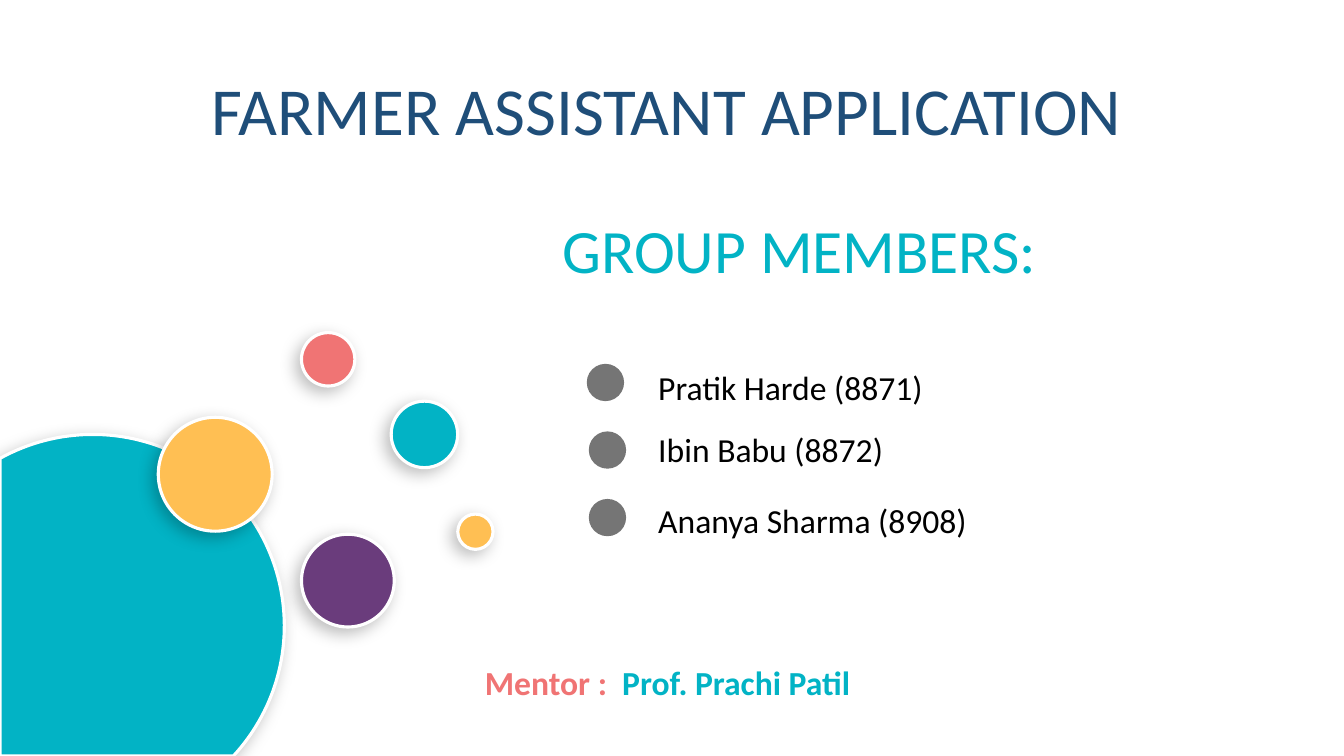
from math import acos, asin, cos, pi, sin
from typing import NamedTuple

from lxml.etree import SubElement as Sub
from pptx import Presentation
from pptx.dml.color import RGBColor as RGB
from pptx.enum.shapes import MSO_SHAPE as Kind
from pptx.enum.text import PP_ALIGN as Align
from pptx.oxml.ns import qn
from pptx.util import Inches, Pt

FONT = "Calibri"
WIDE, HIGH = 13.33, 7.5
COLORS = {
    "teal": "02B3C5", "plum": "6A3C7C", "gold": "FFBF53", "coral": "F07474",
    "gray": "404040", "navy": "1F4E79", "black": "000000", "white": "FFFFFF",
}


class Ball(NamedTuple):
    left: float
    top: float
    size: float
    color: str


class Label(NamedTuple):
    left: float
    top: float
    width: float
    height: float
    size: int
    runs: list[tuple[str, str]]
    bold: bool = False
    align: Align = Align.LEFT


BALLS = [
    Ball(2.99, 5.3, 0.92, "plum"),
    Ball(3.88, 3.98, 0.66, "teal"),
    Ball(1.57, 4.14, 1.13, "gold"),
    Ball(2.99, 3.3, 0.53, "coral"),
    Ball(4.54, 5.1, 0.35, "gold"),
]
DOTS = [Ball(left, 3.61 + 0.67 * row, 0.37, "gray")
        for row, left in enumerate([5.82, 5.84, 5.84])]
LABELS = [
    Label(1.64, 0.63, 9.95, 1.65, 48,
          [("FARMER ASSISTANT APPLICATION", "navy")], align=Align.CENTER),
    Label(5.48, 2.05, 5, 0.84, 44, [("GROUP MEMBERS:", "teal")]),
    Label(6.43, 3.59, 6.21, 0.5, 24, [("Pratik Harde (8871)", "black")]),
    Label(6.43, 4.21, 5.98, 0.5, 24, [("Ibin Babu (8872)", "black")]),
    Label(6.43, 4.91, 4.27, 0.5, 24, [("Ananya Sharma (8908)", "black")]),
    Label(4.71, 6.52, 6.88, 0.5, 24,
          [("Mentor :  ", "coral"), ("Prof. Prachi Patil", "teal")], bold=True),
]


def tint(name: str) -> RGB:
    return RGB.from_string(COLORS[name])


def paint(shape, color: str) -> None:
    shape.shadow.inherit = False
    shape.fill.solid()
    shape.fill.fore_color.rgb = tint(color)


def fade(node, share: int) -> None:
    Sub(node, qn("a:alpha"), val=str(share * 1000))


def raise_up(shape) -> None:
    """Give the shape a white rim and a soft shadow to the lower left."""
    shape.line.color.rgb = tint("white")
    shape.line.width = Pt(2.25)
    effects = shape._element.spPr.find(qn("a:effectLst"))
    shade = Sub(effects, qn("a:outerShdw"), blurRad=str(Pt(12)), dist=str(Pt(5)),
                dir=str(135 * 60000), algn="tr", rotWithShape="0")
    fade(Sub(shade, qn("a:srgbClr"), val=COLORS["black"]), 26)


def add_ball(shapes, ball: Ball):
    shape = shapes.add_shape(Kind.OVAL, Inches(ball.left), Inches(ball.top),
                             Inches(ball.size), Inches(ball.size))
    paint(shape, ball.color)
    return shape


def add_dome(shapes, x: float, y: float, radius: float, steps: int = 90) -> None:
    """Draw the part of a circle that lies inside the lower left corner."""
    first = pi + acos(x / radius)
    last = 2 * pi + asin((HIGH - y) / radius)
    turns = [first + (last - first) * i / steps for i in range(steps + 1)]
    arc = [(Inches(x + radius * cos(t)), Inches(y + radius * sin(t))) for t in turns]
    pen = shapes.build_freeform(0, Inches(HIGH), scale=1.0)
    pen.add_line_segments(arc, close=True)
    shape = pen.convert_to_shape()
    paint(shape, "teal")
    raise_up(shape)


def add_label(shapes, label: Label) -> None:
    box = shapes.add_textbox(Inches(label.left), Inches(label.top),
                             Inches(label.width), Inches(label.height))
    box.text_frame.word_wrap = True
    par = box.text_frame.paragraphs[0]
    par.alignment = label.align
    par.font.name, par.font.size, par.font.bold = FONT, Pt(label.size), label.bold
    for text, color in label.runs:
        run = par.add_run()
        run.text = text
        run.font.color.rgb = tint(color)


deck = Presentation()
deck.slide_width, deck.slide_height = Inches(WIDE), Inches(HIGH)
shapes = deck.slides.add_slide(deck.slide_layouts[6]).shapes

# Large corner circle and floating balls
add_dome(shapes, 0.92, 6.21, 1.9)
for ball in BALLS:
    raise_up(add_ball(shapes, ball))

# Translucent dots beside the names
for dot in DOTS:
    shape = add_ball(shapes, dot)
    shape.line.fill.background()
    fade(shape._element.spPr.find(qn("a:solidFill"))[0], 72)

# Title, members and mentor
for label in LABELS:
    add_label(shapes, label)

deck.save("out.pptx")
